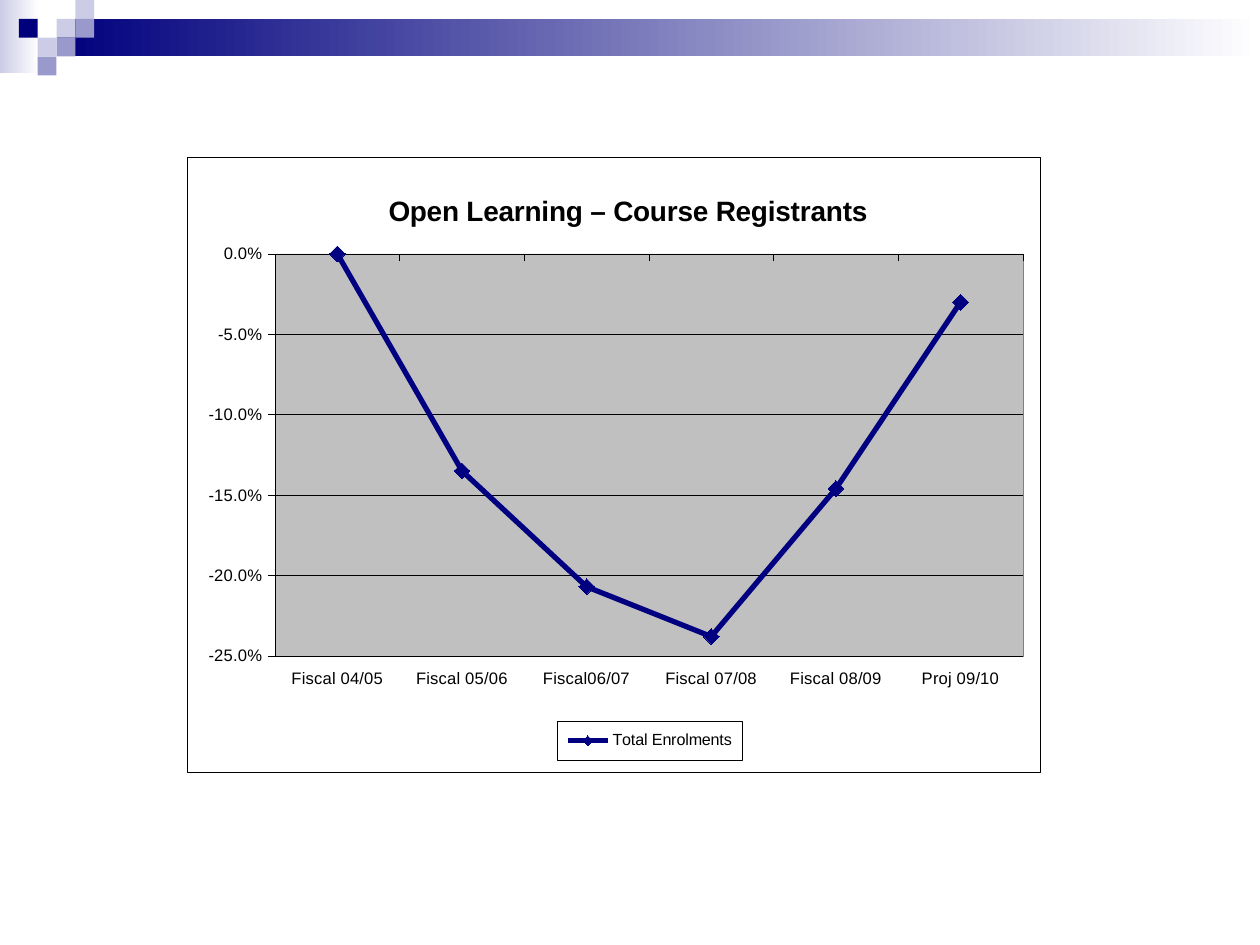
from lxml.etree import SubElement
from pptx import Presentation
from pptx.chart.data import CategoryChartData
from pptx.dml.color import RGBColor
from pptx.enum.chart import (XL_CHART_TYPE, XL_LEGEND_POSITION, XL_MARKER_STYLE,
                             XL_TICK_LABEL_POSITION, XL_TICK_MARK)
from pptx.enum.shapes import MSO_SHAPE
from pptx.oxml import parse_xml
from pptx.oxml.ns import nsdecls, qn
from pptx.util import Cm, Pt

COLORS = {"navy": "00007D", "pale": "CCCCE6", "mid": "9999CC", "white": "FFFFFF",
          "black": "000000", "plot": "C0C0C0", "frame": "808080", "series": "000080"}
ENROLMENTS = {"Fiscal 04/05": 0, "Fiscal 05/06": -0.135, "Fiscal06/07": -0.207,
              "Fiscal 07/08": -0.238, "Fiscal 08/09": -0.146, "Proj 09/10": -0.03}
SQUARES = [(3, 1, "pale"), (4, 0, "pale"), (4, 1, "mid"), (2, 2, "pale"),
           (1, 1, "navy"), (3, 2, "mid"), (2, 3, "mid")]


def rgb(name):
    """Return the named colour."""
    return RGBColor.from_string(COLORS[name])


def add_block(slide, left, top, width, height, color, fade=False):
    """Add a borderless rectangle, solid or fading to white."""
    block = slide.shapes.add_shape(MSO_SHAPE.RECTANGLE, Cm(left), Cm(top), Cm(width), Cm(height))
    block.shadow.inherit = False
    block.line.fill.background()
    if fade:
        block.fill.gradient()
        block.fill.gradient_angle = 0
        for stop, name in zip(block.fill.gradient_stops, (color, "white")):
            stop.color.rgb = rgb(name)
    else:
        block.fill.solid()
        block.fill.fore_color.rgb = rgb(color)


def add_header(slide, left, top, width):
    """Draw the fading bands and the stepped squares."""
    side = 0.38
    add_block(slide, left, top, 0.79, 1.47, "pale", fade=True)
    add_block(slide, left + 3 * side, top + side, width - 3 * side, 2 * side, "navy", fade=True)
    for column, row, color in SQUARES:
        add_block(slide, left + column * side, top + row * side, side, side, color)


def set_layout(part, x, y, width=None, height=None, after=None):
    """Place a chart part by fractions of the chart's size."""
    for old in part.findall(qn("c:layout")):
        part.remove(old)
    layout = parse_xml(f"<c:layout {nsdecls('c')}><c:manualLayout/></c:layout>")
    settings = {"xMode": "edge", "yMode": "edge", "x": x, "y": y}
    if width:
        settings.update(w=width, h=height)
    if after is None:
        settings = {"layoutTarget": "inner", **settings}
        part.insert(0, layout)
    else:
        part.find(qn(after)).addnext(layout)
    for tag, value in settings.items():
        SubElement(layout[0], qn(f"c:{tag}")).set("val", str(value))


def frame_xml(fill, line):
    """Return chart shape properties with a fill and a thin line."""
    return parse_xml(
        f'<c:spPr {nsdecls("c", "a")}><a:solidFill><a:srgbClr val="{COLORS[fill]}"/></a:solidFill>'
        f'<a:ln w="3175"><a:solidFill><a:srgbClr val="{COLORS[line]}"/></a:solidFill></a:ln></c:spPr>')


def format_font(font, size, bold=False):
    """Set a black Arial font."""
    font.name, font.size, font.bold = "Arial", Pt(size), bold
    font.color.rgb = rgb("black")


def format_line(line, color, width):
    """Set a line's colour and width."""
    line.color.rgb = rgb(color)
    line.width = Pt(width)


def format_axes(chart):
    """Style both axes, the scale and the gridlines."""
    for axis in (chart.category_axis, chart.value_axis):
        format_font(axis.tick_labels.font, 9.5)
        format_line(axis.format.line, "black", 0.25)
        axis.major_tick_mark = XL_TICK_MARK.OUTSIDE
    chart.category_axis.tick_label_position = XL_TICK_LABEL_POSITION.LOW
    scale = chart.value_axis
    scale.minimum_scale, scale.maximum_scale, scale.major_unit = -0.25, 0, 0.05
    scale.tick_labels.number_format = "0.0%"
    scale.tick_labels.number_format_is_linked = False
    format_line(scale.major_gridlines.format.line, "black", 0.25)


def format_series(series):
    """Style the enrolment line and its diamonds."""
    series.smooth = False
    format_line(series.format.line, "series", 3)
    series.marker.style = XL_MARKER_STYLE.DIAMOND
    series.marker.size = 9
    series.marker.format.fill.solid()
    series.marker.format.fill.fore_color.rgb = rgb("series")
    format_line(series.marker.format.line, "series", 0.75)


def add_registrants_chart(slide, left, top, width, height):
    """Add the line chart of course registrants."""
    enrolments = CategoryChartData(number_format="0.0%")
    enrolments.categories = list(ENROLMENTS)
    enrolments.add_series("Total Enrolments", list(ENROLMENTS.values()))
    chart = slide.shapes.add_chart(XL_CHART_TYPE.LINE_MARKERS, Cm(left), Cm(top),
                                   Cm(width), Cm(height), enrolments).chart
    format_font(chart.font, 10)
    chart.has_title = True
    heading = chart.chart_title.text_frame
    heading.text = "Open Learning – Course Registrants"
    format_font(heading.paragraphs[0].runs[0].font, 16, bold=True)
    chart.has_legend = True
    chart.legend.position = XL_LEGEND_POSITION.BOTTOM
    chart.legend.include_in_layout = False
    format_font(chart.legend.font, 9.2)
    chart.plots[0].vary_by_categories = False
    format_axes(chart)
    format_series(chart.plots[0].series[0])

    body = chart.element.find(qn("c:chart"))
    plot, legend = body.find(qn("c:plotArea")), body.find(qn("c:legend"))
    set_layout(body.find(qn("c:title")), 0.23, 0.05, after="c:tx")
    set_layout(plot, 0.103, 0.157, 0.877, 0.654)
    set_layout(legend, 0.434, 0.917, 0.217, 0.064, after="c:legendPos")
    plot.append(frame_xml("plot", "frame"))
    legend.find(qn("c:overlay")).addnext(frame_xml("white", "black"))
    body.addnext(frame_xml("white", "black"))


def main():
    """Build and save the slide."""
    deck = Presentation()
    deck.slide_width, deck.slide_height = Cm(25.4), Cm(19.05)
    slide = deck.slides.add_slide(deck.slide_layouts[6])
    add_header(slide, 0, 0, 25.4)
    add_registrants_chart(slide, 3.77, 3.17, 17.2, 12.4)
    deck.save("out.pptx")


if __name__ == "__main__":
    main()
